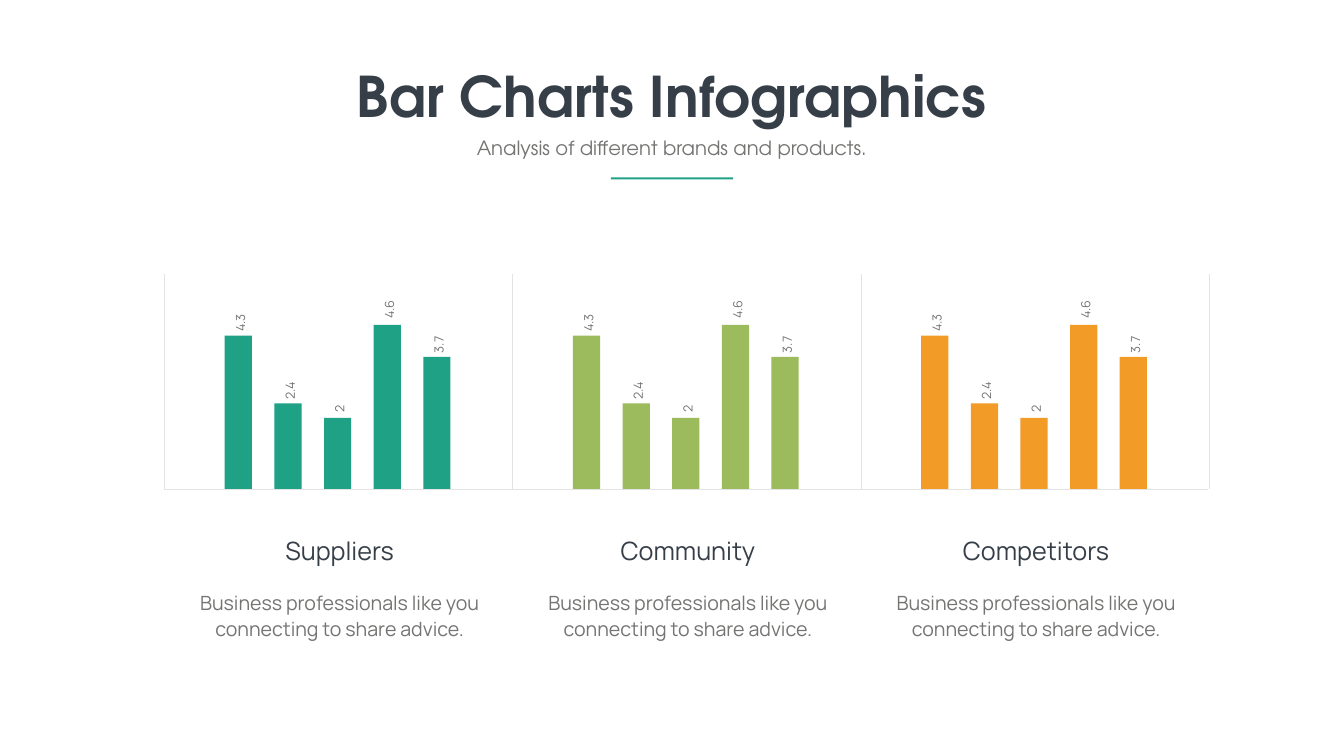
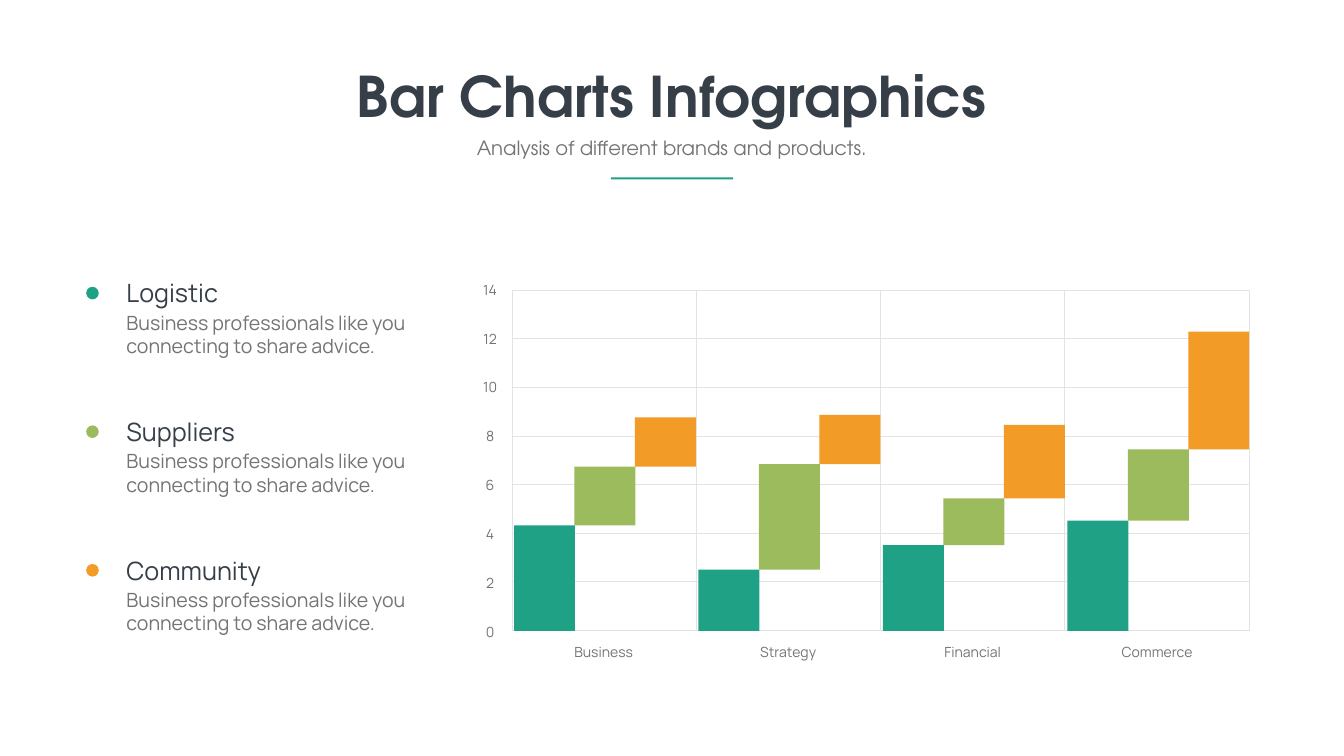
from lxml import etree
from pptx import Presentation
from pptx import util as u
from pptx.dml import color
from pptx.enum import shapes, text
from pptx.oxml import ns

# Shared style
COLORS = {
    "dark": "363E48",
    "gray": "737572",
    "grid": "E3E3E3",
    "teal": "1EA185",
    "green": "9BBB5C",
    "orange": "F29B26",
}
SERIES = ("teal", "green", "orange")
BODY_FONT = "Manrope"
TITLE_FONT = "TeX Gyre Adventor"
ADVICE = "Business professionals like you connecting to share advice."
CENTER = text.PP_ALIGN.CENTER
LEFT = text.PP_ALIGN.LEFT


def rgb(name):
    return color.RGBColor.from_string(COLORS[name])


def add_text(slide, words, left, top, width, height, size, ink="gray",
             font=BODY_FONT, bold=False, align=CENTER, wrap=True,
             line_points=None, rotation=0):
    box = slide.shapes.add_textbox(u.Inches(left), u.Inches(top),
                                   u.Inches(width), u.Inches(height))
    box.rotation = rotation
    frame = box.text_frame
    frame.word_wrap = wrap
    frame.auto_size = text.MSO_AUTO_SIZE.SHAPE_TO_FIT_TEXT
    para = frame.paragraphs[0]
    para.alignment = align
    if line_points:
        para.line_spacing = u.Pt(line_points)
    span = para.add_run()
    span.text = words
    span.font.size = u.Pt(size)
    span.font.name = font
    span.font.bold = bold
    span.font.color.rgb = rgb(ink)


def add_block(slide, left, top, width, height, fill,
              kind=shapes.MSO_SHAPE.RECTANGLE):
    block = slide.shapes.add_shape(kind, u.Inches(left), u.Inches(top),
                                   u.Inches(width), u.Inches(height))
    block.shadow.inherit = False
    block.fill.solid()
    block.fill.fore_color.rgb = rgb(fill)
    block.line.fill.background()


def add_line(slide, x1, y1, x2, y2):
    line = slide.shapes.add_connector(
        shapes.MSO_CONNECTOR.STRAIGHT,
        u.Inches(x1), u.Inches(y1), u.Inches(x2), u.Inches(y2))
    line.line.color.rgb = rgb("grid")
    line.line.width = u.Pt(0.5)
    etree.SubElement(line._element.spPr, ns.qn("a:effectLst"))


def add_header(slide):
    add_text(slide, "Bar Charts Infographics", 6.92, 1.17, 12.82, 1.45, 80,
             "dark", TITLE_FONT, bold=True, wrap=False)
    add_text(slide, "Analysis of different brands and products.",
             8.55, 2.65, 9.56, 0.57, 28, font=TITLE_FONT)
    add_block(slide, 12.12, 3.52, 2.43, 0.04, "teal")


def add_bar_panel(slide, left, fill):
    """Five labelled bars standing on the common baseline."""
    baseline, unit = 9.71, 0.71
    # Each bar: value, distance from its top up to the label box
    bars = ((4.3, 0.45), (2.4, 0.45), (2, 0.37), (4.6, 0.5), (3.7, 0.44))
    for index, (value, rise) in enumerate(bars):
        x = left + 0.985 * index
        top = baseline - value * unit
        add_block(slide, x, top, 0.54, value * unit, fill)
        add_text(slide, str(value), x - 0.14, top - rise, 0.89, 0.4, 18,
                 rotation=270)


def build_panels(slide):
    add_header(slide)
    pitch = 6.91
    names = ("Suppliers", "Community", "Competitors")
    for index, (name, fill) in enumerate(zip(names, SERIES)):
        shift = pitch * index
        add_text(slide, name, 4.46 + shift, 10.57, 4.56, 0.71, 36, "dark")
        add_text(slide, ADVICE, 3.66 + shift, 11.64, 6.16, 1.13, 28,
                 line_points=36.6)
        add_bar_panel(slide, 4.46 + shift, fill)

    # Panel dividers and baseline
    for index in range(4):
        x = 3.26 + pitch * index
        add_line(slide, x, 5.44, x, 9.71)
    add_line(slide, 3.25, 9.71, 23.98, 9.71)


def add_legend(slide):
    names = ("Logistic", "Suppliers", "Community")
    for index, (name, fill) in enumerate(zip(names, SERIES)):
        top = 5.46 + 2.75 * index
        add_block(slide, 1.71, top + 0.23, 0.25, 0.25, fill,
                  shapes.MSO_SHAPE.OVAL)
        add_text(slide, ADVICE, 2.41, top + 0.65, 6.38, 1.04, 28, align=LEFT)
        add_text(slide, name, 2.41, top, 4.89, 0.71, 36, "dark", align=LEFT)


def add_grid(slide):
    left, right, top, bottom = 10.17, 24.79, 5.75, 12.52
    for x in [left + 3.65 * index for index in range(4)] + [right]:
        add_line(slide, x, top, x, bottom)
    for index, mark in enumerate(range(14, -1, -2)):
        y = top + 0.965 * index
        add_line(slide, left, y, right, y)
        add_text(slide, str(mark), 9.28, 5.53 + 0.97 * index, 0.89, 0.44, 20)


def add_steps(slide):
    """Each category climbs in three steps, one per series."""
    baseline, unit, bar_width = 12.52, 0.487, 1.21
    # Category, label width, step heights in axis units
    categories = (
        ("Business", 1.55, (4.3, 2.4, 2)),
        ("Strategy", 1.55, (2.5, 4.3, 2)),
        ("Financial", 1.55, (3.5, 1.9, 3)),
        ("Commerce", 1.9, (4.5, 2.9, 4.8)),
    )
    for index, (name, label_width, steps) in enumerate(categories):
        shift = 3.66 * index
        top = baseline
        for place, (value, fill) in enumerate(zip(steps, SERIES)):
            top -= value * unit
            add_block(slide, 10.2 + shift + 1.2 * place, top,
                      bar_width, value * unit, fill)
        add_text(slide, name, 11.98 + shift - label_width / 2, 12.72,
                 label_width, 0.44, 20)


def build_waterfall(slide):
    add_header(slide)
    add_legend(slide)
    add_grid(slide)
    add_steps(slide)


def main():
    deck = Presentation()
    deck.slide_width = u.Inches(26.67)
    deck.slide_height = u.Inches(15)
    blank = deck.slide_layouts[6]
    for build in (build_panels, build_waterfall):
        build(deck.slides.add_slide(blank))
    deck.save("out.pptx")


if __name__ == "__main__":
    main()
